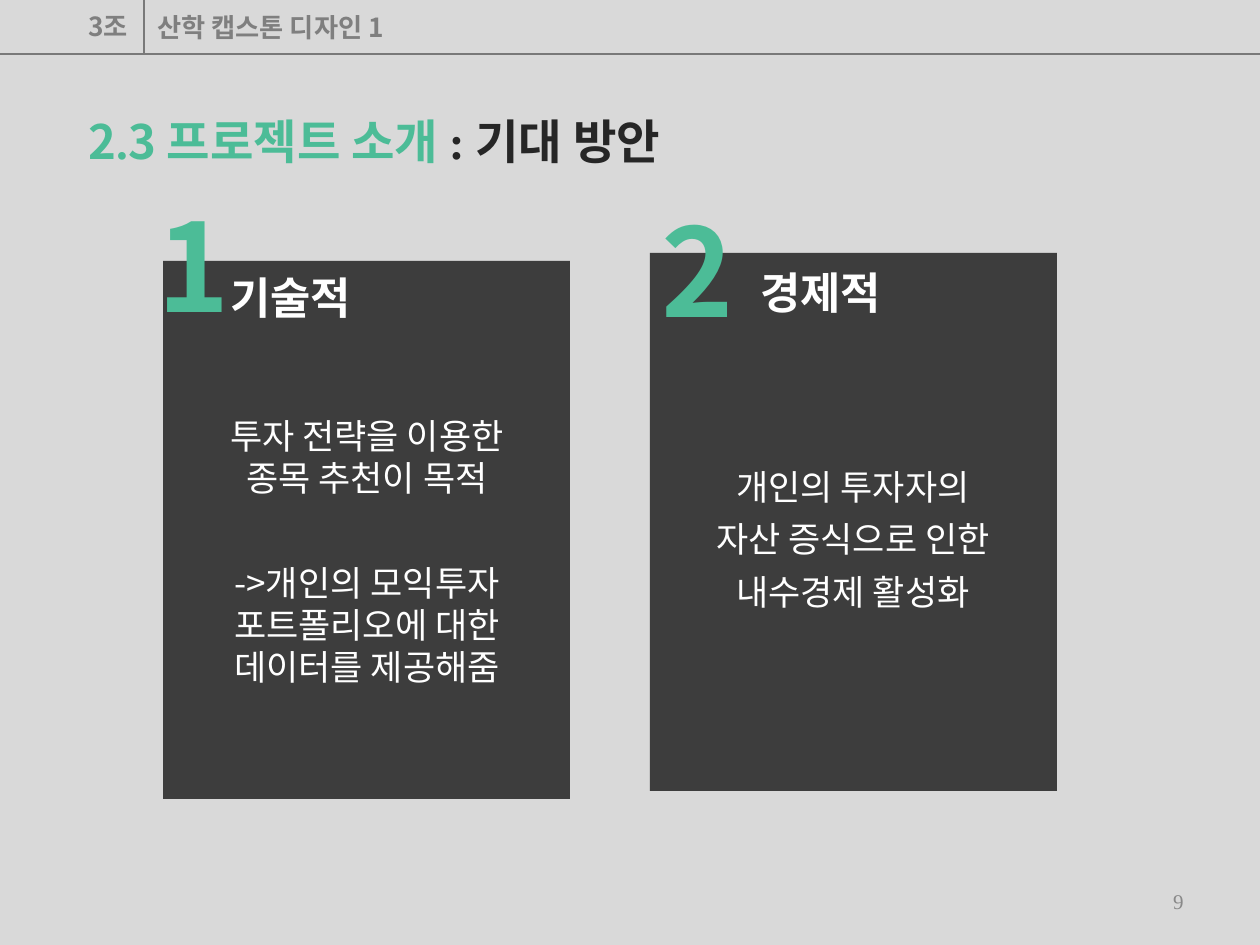
import pptx
import pptx.util
import pptx.dml.color
import pptx.enum.shapes
import pptx.enum.text
import pptx.oxml.ns
import lxml.etree

PX = 914400 / 126
SANS = "Noto Sans CJK KR"
SERIF = "Times New Roman"
GREEN, DARK, GRAY, WHITE = "4CBC97", "262626", "7F7F7F", "FFFFFF"
ALIGN = pptx.enum.text.PP_ALIGN
qn = pptx.oxml.ns.qn


def px(length):
    return pptx.util.Emu(round(length * PX))


def set_color(color_format, hex_color):
    color_format.rgb = pptx.dml.color.RGBColor.from_string(hex_color)


def set_font(font, size, color, bold=False, face=SANS):
    font.size = pptx.util.Pt(size)
    font.bold = bold
    font.name = face
    font.fill.solid()
    set_color(font.fill.fore_color, color)
    # Hangul takes its face from the East Asian font
    latin = font._element.find(qn("a:latin"))
    east_asian = lxml.etree.Element(qn("a:ea"), typeface=face)
    latin.addnext(east_asian)


def add_text(slide, box, lines, size, color, bold=False, face=SANS,
             align=ALIGN.LEFT, gap=0):
    frame = slide.shapes.add_textbox(*map(px, box)).text_frame
    frame.word_wrap = True
    for index, line in enumerate(lines):
        paragraph = frame.paragraphs[0] if index == 0 else frame.add_paragraph()
        paragraph.alignment = align
        if index:
            paragraph.space_before = pptx.util.Pt(gap)
        run = paragraph.add_run()
        run.text = line
        set_font(paragraph.font, size, color, bold, face)
        set_font(run.font, size, color, bold, face)
    return frame


def add_rule(slide, x1, y1, x2, y2):
    rule = slide.shapes.add_connector(
        pptx.enum.shapes.MSO_CONNECTOR.STRAIGHT, px(x1), px(y1), px(x2), px(y2))
    set_color(rule.line.color, "797979")
    rule.line.width = pptx.util.Pt(0.75)
    lxml.etree.SubElement(rule._element.spPr, qn("a:effectLst"))


def add_header(slide, left, top, width, height):
    divider = left + 144
    add_rule(slide, left, top + height, left + width, top + height)
    add_rule(slide, divider, top, divider, top + height)
    add_text(slide, (left + 76, top + 4, 89, 44), ["3조"], 15, GRAY, True)
    add_text(slide, (left + 145, top + 5, 476, 43),
             ["산학 캡스톤 디자인 1"], 15, GRAY, True)


def add_heading(slide, left, top, width, height):
    frame = slide.shapes.add_textbox(*map(px, (left, top, width, height))).text_frame
    frame.word_wrap = True
    for words, face, color in (("2", SANS, GREEN), (".", SERIF, GREEN),
                               ("3 프로젝트 소개 ", SANS, GREEN),
                               (":", SERIF, DARK), (" 기대 방안", SANS, DARK)):
        run = frame.paragraphs[0].add_run()
        run.text = words
        set_font(run.font, 27, color, True, face)


def add_card(slide, left, top, number, number_at, title, title_at,
             body, body_at, body_height, gap):
    def inside(offset, width, height):
        return left + offset[0], top + offset[1], width, height

    panel = slide.shapes.add_shape(
        pptx.enum.shapes.MSO_SHAPE.RECTANGLE, *map(px, (left, top, 407, 538)))
    panel.shadow.inherit = False
    panel.line.fill.background()
    panel.fill.solid()
    set_color(panel.fill.fore_color, DARK)
    tint = panel._element.spPr.find(qn("a:solidFill"))[0]
    lxml.etree.SubElement(tint, qn("a:alpha"), val="87000")

    add_text(slide, inside(number_at, 149, 207), [number], 70, GREEN, True)
    add_text(slide, inside(title_at, 189, 64), [title], 25, WHITE, True)
    add_text(slide, inside(body_at, 348, body_height), body, 20, WHITE,
             align=ALIGN.CENTER, gap=gap)


def add_page_number(slide, left, top, width, height):
    frame = add_text(slide, (left, top, width, height), ["9"], 12, "898989",
                     face=SERIF, align=ALIGN.RIGHT)
    frame.vertical_anchor = pptx.enum.text.MSO_ANCHOR.MIDDLE


def main():
    deck = pptx.Presentation()
    deck.slide_width, deck.slide_height = px(1260), px(945)
    slide = deck.slides.add_slide(deck.slide_layouts[6])
    slide.background.fill.solid()
    set_color(slide.background.fill.fore_color, "D9D9D9")

    add_header(slide, 0, 0, 1260, 54)
    add_heading(slide, 76, 106, 922, 68)

    # Technical and economic expectations
    add_card(slide, 163, 261, "1", (-18, -77), "기술적", (55, 4),
             ["투자 전략을 이용한 종목 추천이 목적",
              "->개인의 모익투자 포트폴리오에 대한 데이터를 제공해줌"],
             (30, 147), 285, 36)
    add_card(slide, 650, 253, "2", (-1, -64), "경제적", (98, 7),
             ["개인의 투자자의", "자산 증식으로 인한", "내수경제 활성화"],
             (29, 206), 159, 6)

    add_page_number(slide, 902, 876, 294, 50)
    deck.save("out.pptx")


if __name__ == "__main__":
    main()
